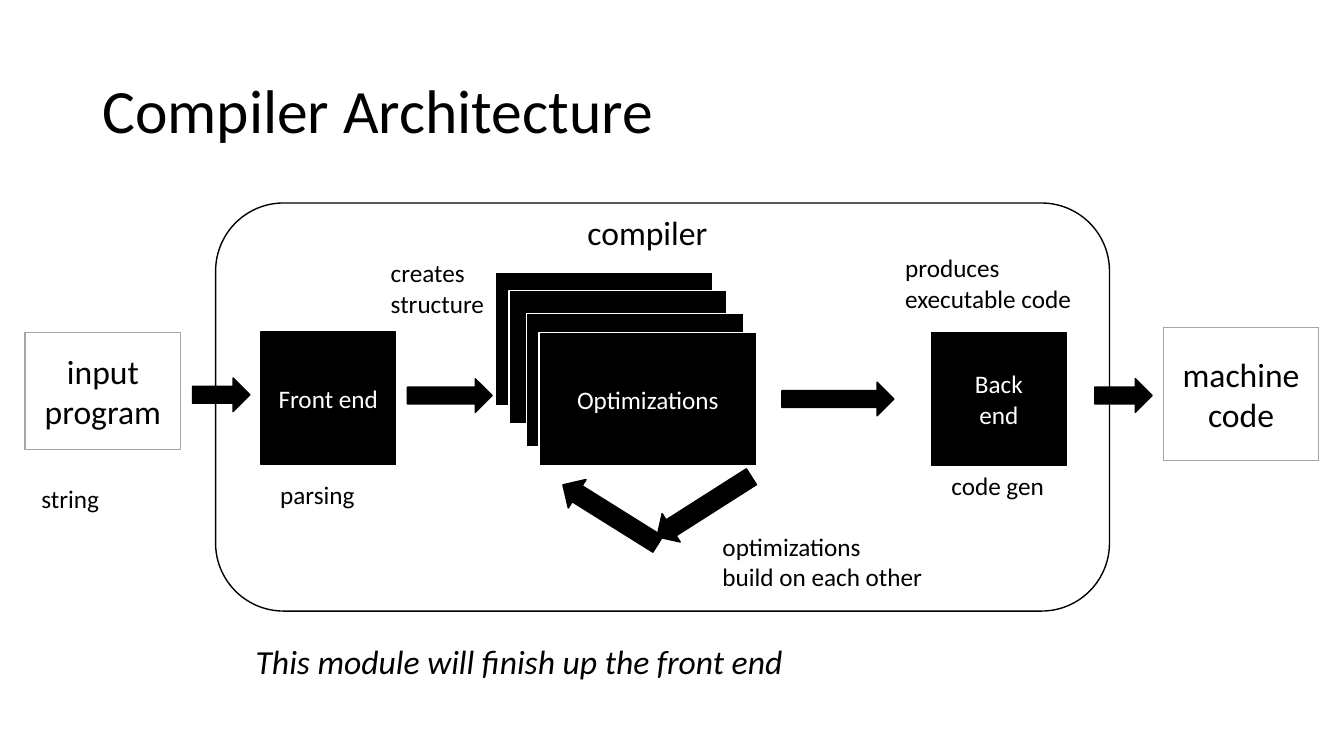
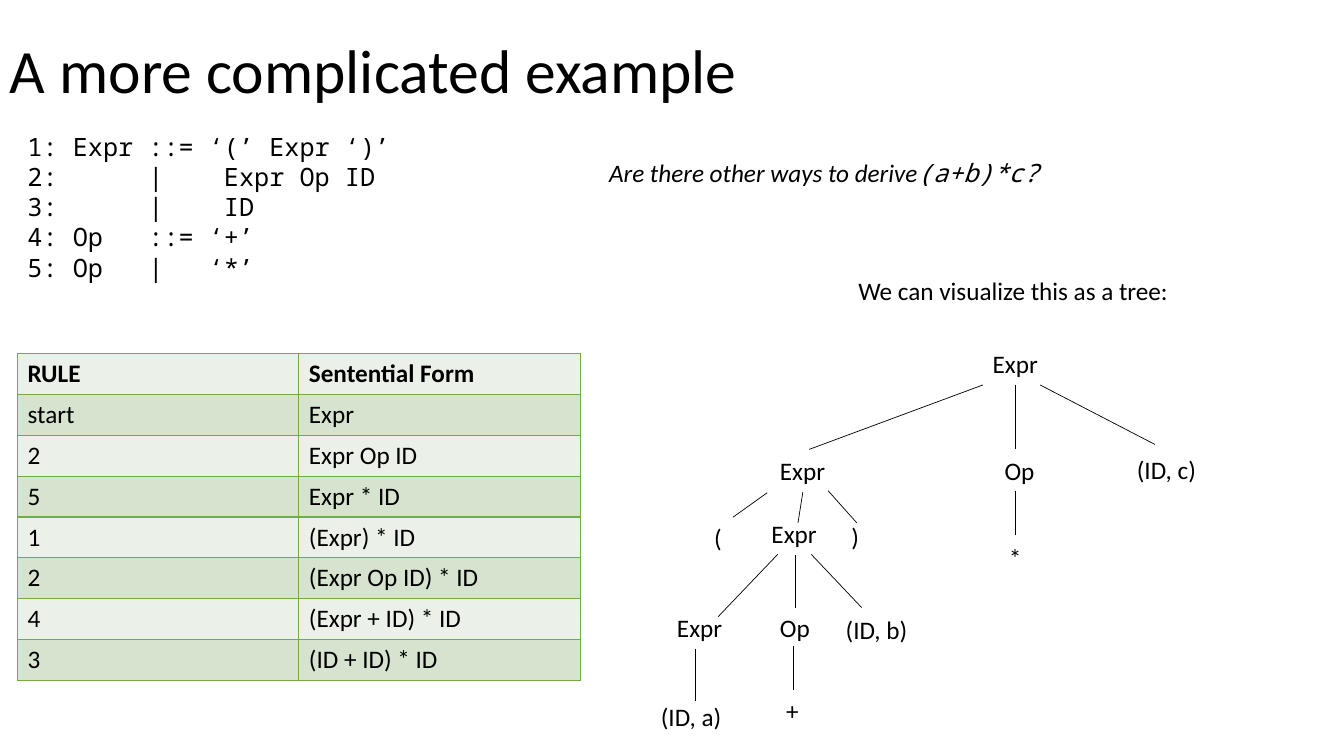
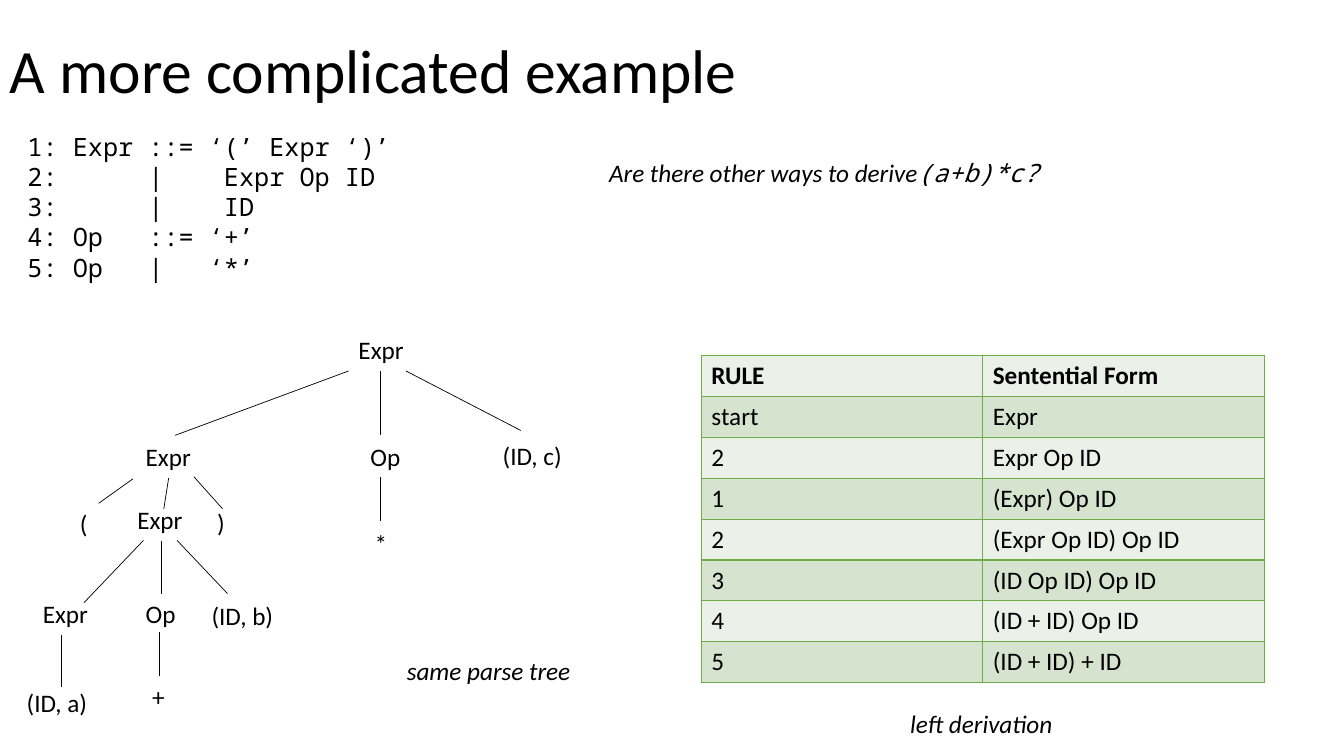
from lxml.etree import SubElement
from pptx import Presentation
from pptx.dml.color import RGBColor
from pptx.enum.shapes import MSO_CONNECTOR, MSO_SHAPE as Preset
from pptx.enum.text import MSO_ANCHOR as Anchor, MSO_AUTO_SIZE as AutoSize, PP_ALIGN as Align
from pptx.oxml.ns import qn
from pptx.util import Pt

BLACK = RGBColor(0x00, 0x00, 0x00)
WHITE = RGBColor(0xFF, 0xFF, 0xFF)
GRAY = RGBColor(0xA5, 0xA5, 0xA5)
GREEN = RGBColor(0x70, 0xAD, 0x47)
ROW_FILLS = (RGBColor(0xEB, 0xF1, 0xE9), RGBColor(0xD5, 0xE3, 0xCF))
SANS, MONO = "Calibri", "Noto Sans Mono"

GRAMMAR = """1: Expr ::= ‘(’ Expr ‘)’
2:      |    Expr Op ID
3:      |    ID
4: Op   ::= ‘+’
5: Op   |   ‘*’"""

HEADER = ("RULE", "Sentential Form")
RIGHT_DERIVATION = [
    HEADER, ("start", "Expr"), ("2", "Expr Op ID"), ("5", "Expr * ID"),
    ("1", "(Expr) * ID"), ("2", "(Expr Op ID) * ID"),
    ("4", "(Expr + ID) * ID"), ("3", "(ID + ID) * ID"),
]
LEFT_DERIVATION = [
    HEADER, ("start", "Expr"), ("2", "Expr Op ID"), ("1", "(Expr) Op ID"),
    ("2", "(Expr Op ID) Op ID"), ("3", "(ID Op ID) Op ID"),
    ("4", "(ID + ID) Op ID"), ("5", "(ID + ID) + ID"),
]

# Parse tree, relative to its top left corner: text, left, top, width
TREE_NODES = [
    ("Expr", 237, 0, 47),
    ("Expr", 85, 76.5, 47), ("Op", 245.5, 76.5, 36), ("(ID, c)", 340, 75.5, 58),
    ("(", 38, 124, 20), ("Expr", 79, 121.5, 47), (")", 136, 123, 20),
    ("*", 248.5, 138, 24),
    ("Expr", 11.5, 188, 47), ("Op", 85, 188.5, 36), ("(ID, b)", 132, 190, 59),
    ("(ID, a)", 0, 252, 58), ("+", 89.5, 247.5, 24),
]
TREE_EDGES = [
    (237, 29.5, 113, 75.5), (260, 29.5, 260, 75.5), (278, 29.5, 360, 72),
    (83, 106.5, 58.5, 124), (108.5, 106, 105, 128), (126.5, 105, 147, 128),
    (260, 105, 260, 137),
    (90.5, 150.5, 48, 195), (103, 151, 103, 188.5), (114.5, 150.5, 150.5, 188.5),
    (31.5, 218, 31.5, 255.5), (102, 216, 102, 247.5),
]


def format_text(frame, size=18, color=BLACK, font=SANS, italic=False, bold=False):
    for para in frame.paragraphs:
        for span in para.runs:
            span.font.size = Pt(size)
            span.font.name = font
            span.font.color.rgb = color
            span.font.italic = italic
            span.font.bold = bold


def add_label(slide, text, left, top, width, height=29, **style):
    """Add unwrapped text whose box fits it."""
    box = slide.shapes.add_textbox(Pt(left), Pt(top), Pt(width), Pt(height))
    frame = box.text_frame
    frame.text = text
    frame.word_wrap = False
    frame.auto_size = AutoSize.SHAPE_TO_FIT_TEXT
    format_text(frame, **style)
    return frame


def add_title(slide, text, left, top):
    box = slide.shapes.add_textbox(Pt(left), Pt(top), Pt(828), Pt(104.4))
    frame = box.text_frame
    frame.text = text
    frame.word_wrap = True
    frame.vertical_anchor = Anchor.MIDDLE
    frame.paragraphs[0].line_spacing = 0.9
    format_text(frame, size=44)


def add_block(slide, preset, left, top, width, height, fill=BLACK, line=BLACK):
    shape = slide.shapes.add_shape(preset, Pt(left), Pt(top), Pt(width), Pt(height))
    shape.shadow.inherit = False
    if fill is None:
        shape.fill.background()
    else:
        shape.fill.solid()
        shape.fill.fore_color.rgb = fill
    shape.line.color.rgb = line
    shape.line.width = Pt(1)
    return shape


def write_in(shape, text, **style):
    frame = shape.text_frame
    frame.text = text
    frame.word_wrap = True
    frame.vertical_anchor = Anchor.MIDDLE
    for para in frame.paragraphs:
        para.alignment = Align.CENTER
    format_text(frame, **style)


def add_edge(slide, x1, y1, x2, y2):
    edge = slide.shapes.add_connector(
        MSO_CONNECTOR.STRAIGHT, Pt(x1), Pt(y1), Pt(x2), Pt(y2))
    edge.line.color.rgb = BLACK
    edge.line.width = Pt(0.5)
    SubElement(edge._element.spPr, qn("a:effectLst"))


def add_parse_tree(slide, left, top):
    for x1, y1, x2, y2 in TREE_EDGES:
        add_edge(slide, left + x1, top + y1, left + x2, top + y2)
    for text, x, y, width in TREE_NODES:
        add_label(slide, text, left + x, top + y, width)


def add_borders(cell):
    properties = cell._tc.get_or_add_tcPr()
    for side in ("a:lnL", "a:lnR", "a:lnT", "a:lnB"):
        border = SubElement(properties, qn(side), w=str(Pt(1)))
        fill = SubElement(border, qn("a:solidFill"))
        SubElement(fill, qn("a:srgbClr"), val=str(GREEN))


def add_derivation(slide, rows, left, top, width=402, row_height=29.2):
    holder = slide.shapes.add_table(
        len(rows), len(HEADER), Pt(left), Pt(top), Pt(width), Pt(row_height * len(rows)))
    table = holder.table
    for row_index, texts in enumerate(rows):
        table.rows[row_index].height = Pt(row_height)
        for column_index, text in enumerate(texts):
            cell = table.cell(row_index, column_index)
            add_borders(cell)
            cell.fill.solid()
            cell.fill.fore_color.rgb = ROW_FILLS[row_index % 2]
            cell.text_frame.text = text
            format_text(cell.text_frame, bold=row_index == 0)


def add_compiler(slide, left, top):
    """Draw the compiler frame at (left, top), with its input and output at the sides."""
    def block(preset, x, y, width, height, **colors):
        return add_block(slide, preset, left + x, top + y, width, height, **colors)

    for x, y in ((199.5, 49.5), (209.5, 62.5), (222, 79), (231, 92.5)):
        card = block(Preset.RECTANGLE, x, y, 155.5, 95, line=WHITE)
    write_in(card, "Optimizations", color=WHITE)

    for text, x, y in (("Front end", 32.5, 92), ("Back\vend", 511.5, 92.5)):
        write_in(block(Preset.RECTANGLE, x, y, 96, 95), text, color=WHITE)

    for text, x, y, height in (("input program", -136, 92.5, 83.5),
                               ("machine code", 677, 89, 95)):
        end = block(Preset.RECTANGLE, x, y, 111, height, fill=WHITE, line=GRAY)
        write_in(end, text, size=24)

    for x, y, width in ((-16.5, 125, 41), (137, 125.5, 60.5),
                        (404.5, 128, 80), (628, 125.5, 41)):
        block(Preset.RIGHT_ARROW, x, y, width, 24)
    for x, y, angle in ((309, 205, 147.5), (242, 210.5, 212)):
        arrow = block(Preset.RIGHT_ARROW, x, y, 80, 24)
        arrow.adjustments[0] = 0.56
        arrow.rotation = angle

    block(Preset.ROUNDED_RECTANGLE, 0, 0, 638.5, 291.5, fill=None)
    add_label(slide, "compiler", left + 258.5, top + 2.5, 101, 36, size=24)
    for text, x, y, width, height in (
            ("string", -131.5, 196.5, 56, 29),
            ("parsing", 39, 193.5, 68, 29),
            ("creates\vstructure", 118, 35.5, 82, 51),
            ("optimizations\nbuild on each other", 355, 231, 159, 51),
            ("produces\vexecutable code", 485.5, 32, 134.5, 51),
            ("code gen", 518.5, 187.5, 81, 29)):
        add_label(slide, text, left + x, top + y, width, height)


def add_blank_slide(deck):
    return deck.slides.add_slide(deck.slide_layouts[6])


def build_architecture(deck):
    slide = add_blank_slide(deck)
    add_title(slide, "Compiler Architecture", 66, 28.8)
    add_compiler(slide, 154, 145)
    add_label(slide, "This module will finish up the front end",
              175.5, 454.5, 399.5, 36, size=24, italic=True)


def build_example(deck, rows, table_at, tree_at, notes):
    """Add a slide with the grammar, a derivation table, its parse tree and notes."""
    slide = add_blank_slide(deck)
    add_title(slide, "A more complicated example", 0, 0)
    add_label(slide, GRAMMAR, 12.5, 90, 275, 116.5, font=MONO)
    question = add_label(slide, "Are there other ways to derive", 428, 108.5, 326, italic=True)
    formula = question.paragraphs[0].add_run()
    formula.text = "(a+b)*c?"
    format_text(question, italic=True)
    formula.font.name = MONO
    add_derivation(slide, rows, *table_at)
    add_parse_tree(slide, *tree_at)
    for text, left, top, width, italic in notes:
        add_label(slide, text, left, top, width, italic=italic)


def main():
    deck = Presentation()
    deck.slide_width, deck.slide_height = Pt(960), Pt(540)
    build_architecture(deck)
    build_example(deck, RIGHT_DERIVATION, (12.5, 252.5), (465, 245.5),
                  [("We can visualize this as a tree:", 606, 193, 238.5, False)])
    build_example(deck, LEFT_DERIVATION, (501, 254), (12, 235.5),
                  [("left derivation", 643, 502.5, 119, True),
                   ("same parse tree", 283.5, 464.5, 133, True)])
    deck.save("out.pptx")


if __name__ == "__main__":
    main()
